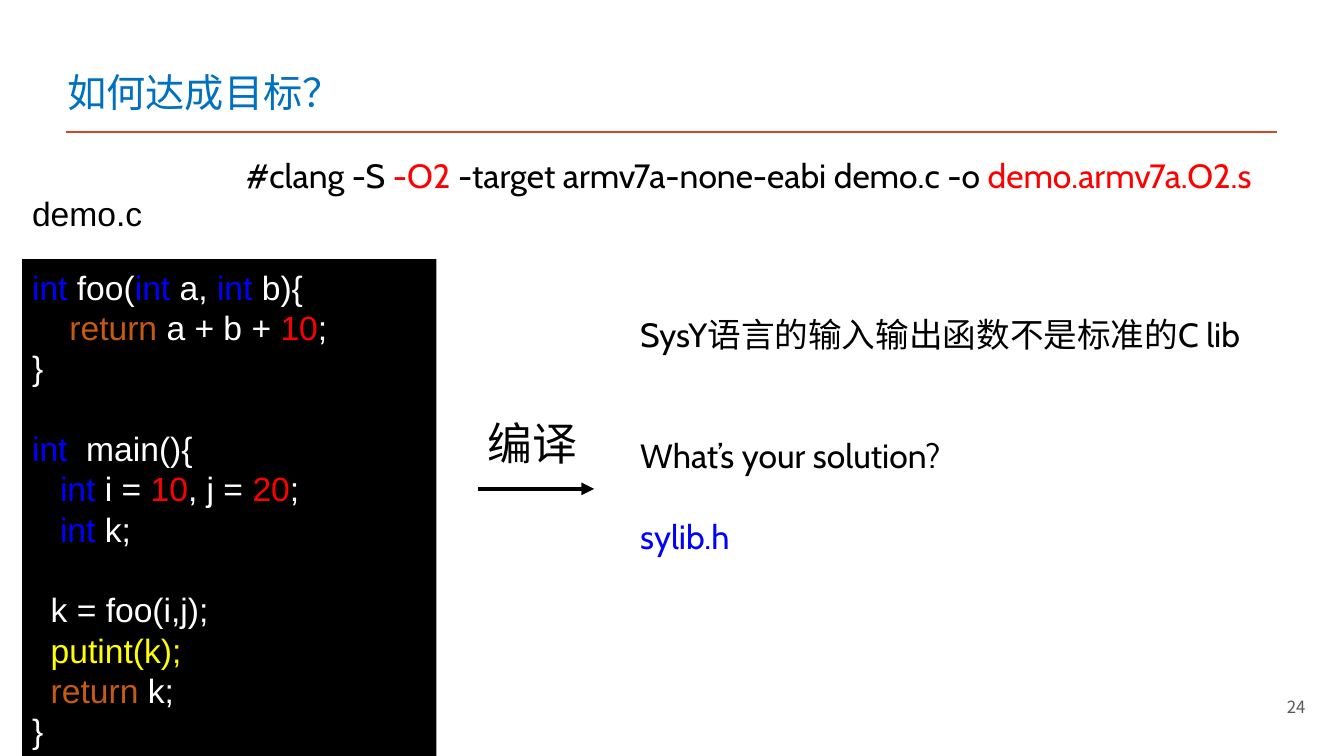
from dataclasses import dataclass

from lxml.etree import SubElement
from pptx import Presentation
from pptx.dml.color import RGBColor as RGB
from pptx.enum.shapes import MSO_CONNECTOR as CONN, MSO_SHAPE as SHAPE
from pptx.enum.text import MSO_ANCHOR as ANCHOR, PP_ALIGN as ALIGN
from pptx.oxml.ns import qn
from pptx.util import Inches, Pt


@dataclass(frozen=True)
class Theme:
    latin: str = "Cabin"
    code: str = "Arial"
    cjk: str = "Noto Sans CJK SC"
    title: int = 28
    label: int = 32
    body: int = 24
    small: int = 12
    leading: float = 1.2
    black: str = "000000"
    white: str = "FFFFFF"
    heading: str = "0070C0"
    rule: str = "D24726"
    grey: str = "595959"
    blue: str = "0000FF"
    red: str = "FF0000"
    brown: str = "C55A11"
    yellow: str = "FFFF00"


T = Theme()
prs = Presentation()
prs.slide_width, prs.slide_height = Inches(13.33), Inches(7.5)
s = prs.slides.add_slide(prs.slide_layouts[6])
X, Y = prs.slide_width / 100, prs.slide_height / 100


def write(sp, lines, font, size, anchor=ANCHOR.TOP, align=ALIGN.LEFT, wrap=True):
    """Fill sp with lines, each a list of (text, colour); an empty list opens a gap."""
    tf = sp.text_frame
    tf.word_wrap, tf.vertical_anchor = wrap, anchor
    pitch, gap, p = size * T.leading, 0, None
    for line in lines:
        if not line:
            gap += pitch
            continue
        p = tf.add_paragraph() if p is not None else tf.paragraphs[0]
        p.alignment, p.line_spacing = align, Pt(pitch)
        if gap:
            p.space_before = Pt(gap)
        gap = 0
        for text, colour in line:
            r = p.add_run()
            r.text = text
            r.font.name, r.font.size = font, Pt(size)
            r.font.color.rgb = RGB.from_string(colour)
            SubElement(r.font._element, qn("a:ea"), typeface=T.cjk)


def add_line(x1, x2, y, colour, width):
    c = s.shapes.add_connector(CONN.STRAIGHT, int(x1 * X), int(y * Y), int(x2 * X), int(y * Y))
    c.line.color.rgb, c.line.width = RGB.from_string(colour), Pt(width)
    SubElement(c._element.spPr, qn("a:effectLst"))
    return c


add_line(4.95, 95.05, 17.47, T.rule, 2)

# Code panel
panel = s.shapes.add_shape(SHAPE.RECTANGLE, int(1.65 * X), int(34.27 * Y), int(30.83 * X), int(66 * Y))
panel.shadow.inherit = False
panel.fill.solid()
panel.fill.fore_color.rgb = RGB.from_string(T.black)
panel.line.fill.background()
code = [
    [("int", T.blue), (" foo(", T.white), ("int", T.blue), (" a, ", T.white),
     ("int", T.blue), (" b){", T.white)],
    [("    ", T.white), ("return", T.brown), (" a + b + ", T.white), ("10", T.red), (";", T.white)],
    [("}", T.white)],
    [],
    [("int", T.blue), ("  main(){", T.white)],
    [("   int ", T.blue), ("i = ", T.white), ("10", T.red), (", j = ", T.white),
     ("20", T.red), (";", T.white)],
    [("   int", T.blue), (" k;", T.white)],
    [],
    [("  k = foo(i,j);", T.white)],
    [("  putint(k);", T.yellow)],
    [("  return ", T.brown), ("k;", T.white)],
    [("}", T.white)],
]
write(panel, code, T.code, T.body, ANCHOR.MIDDLE)

notes = [
    [("SysY语言的输入输出函数不是标准的C lib", T.black)],
    [],
    [],
    [("What’s your solution?", T.black)],
    [],
    [("sylib.h", T.blue)],
]
command = [[("#clang -S ", T.black), ("-O2 ", T.red),
            ("-target armv7a-none-eabi demo.c -o ", T.black), ("demo.armv7a.O2.s", T.red)]]

# Left, top, width, height in percent of the slide; lines; font; size; layout options
boxes = [
    (4.28, 6.53, 56.4, 9.33, [[("如何达成目标？", T.heading)]], T.cjk, T.title,
     {"anchor": ANCHOR.BOTTOM}),
    (68.7, 90.8, 29.18, 5.33, [[("24", T.grey)]], T.cjk, T.small,
     {"anchor": ANCHOR.MIDDLE, "align": ALIGN.RIGHT}),
    (46.9, 40.93, 49.5, 33.6, notes, T.latin, T.body, {}),
    (17.55, 19.87, 80.8, 6.67, command, T.latin, T.body, {}),
    (35.55, 54.3, 8.25, 8.53, [[("编译", T.black)]], T.latin, T.label, {"wrap": False}),
    (1.65, 24.8, 9.83, 6.67, [[("demo.c", T.black)]], T.code, T.body, {"wrap": False}),
]
for left, top, width, height, lines, font, size, options in boxes:
    sp = s.shapes.add_textbox(int(left * X), int(top * Y), int(width * X), int(height * Y))
    write(sp, lines, font, size, **options)

arrow = add_line(35.55, 44.2, 64.67, T.black, 3)
SubElement(arrow.line._get_or_add_ln(), qn("a:tailEnd"), type="triangle")

prs.save("out.pptx")
